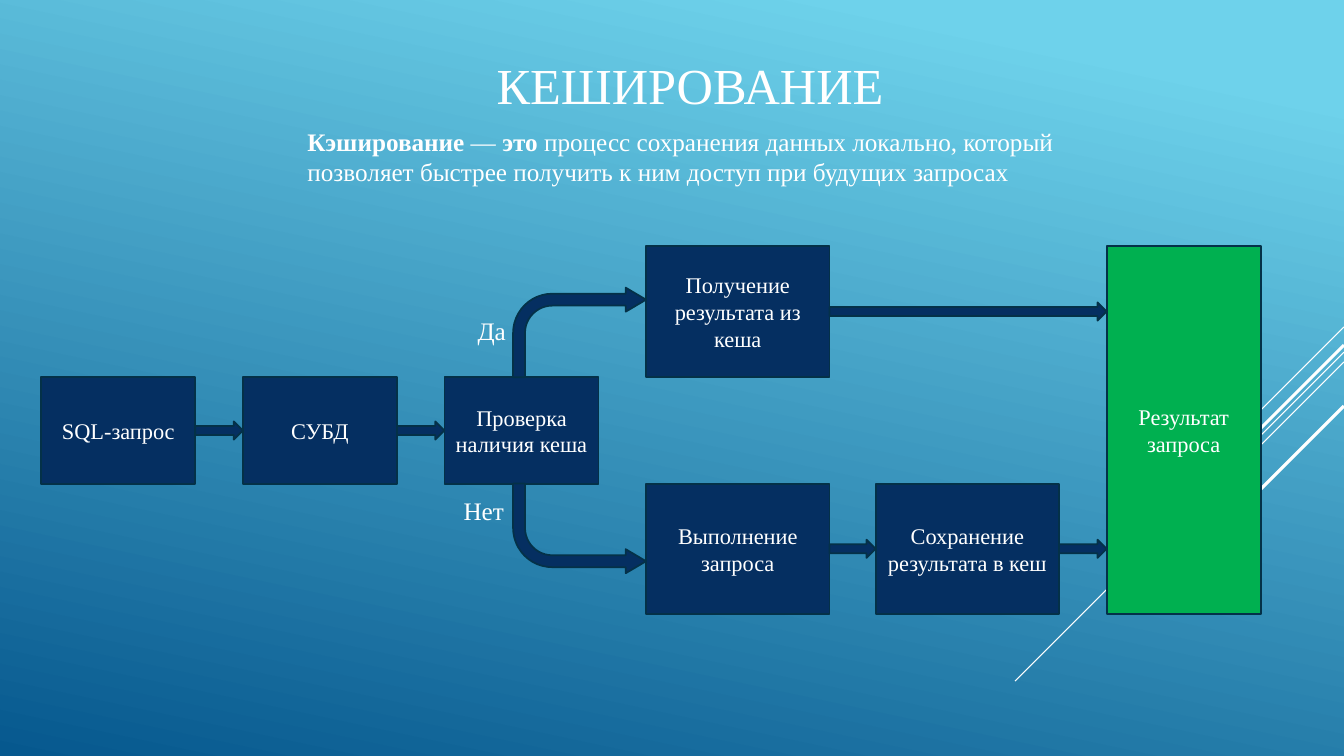
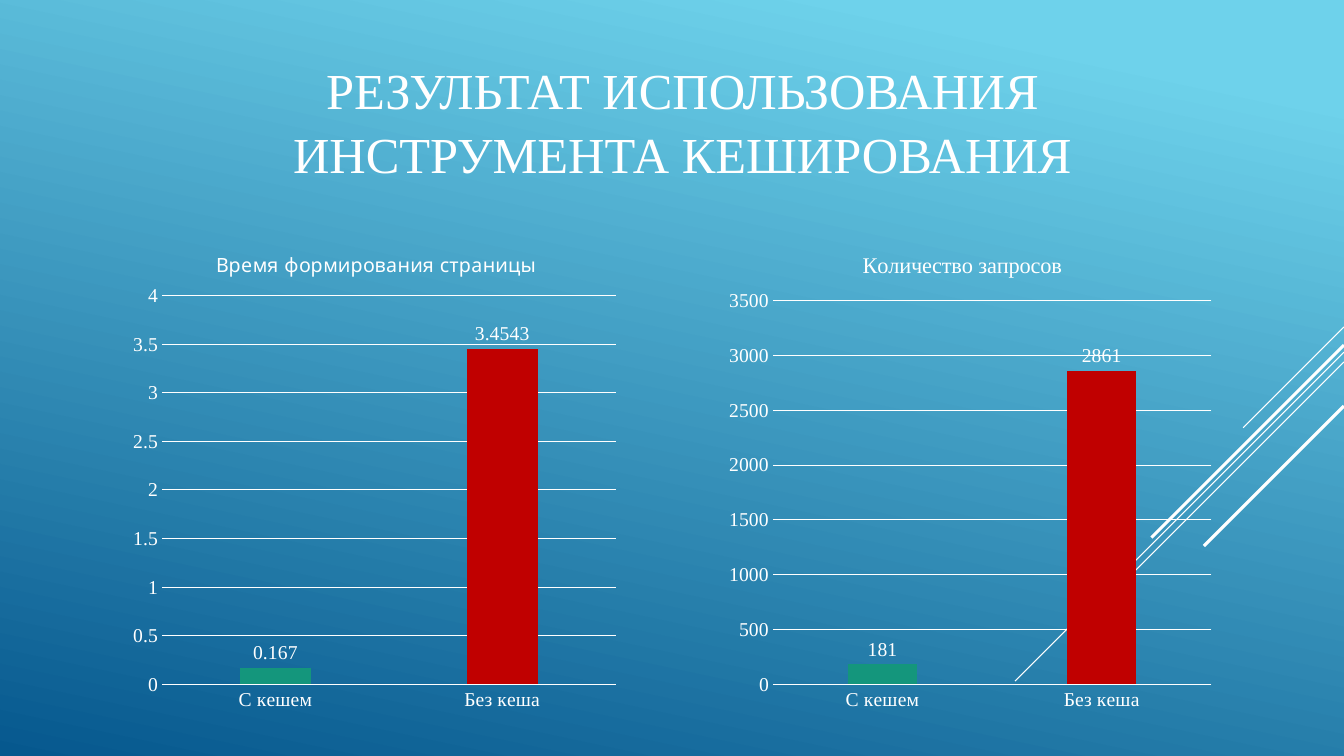
from dataclasses import dataclass

from lxml.etree import SubElement
from pptx import Presentation
from pptx.chart.data import CategoryChartData
from pptx.dml.color import RGBColor as RGB
from pptx.enum.chart import XL_CHART_TYPE as CT, XL_LABEL_POSITION as LP, XL_TICK_MARK as TM
from pptx.enum.shapes import MSO_CONNECTOR as CONN, MSO_SHAPE as SHAPE
from pptx.enum.text import MSO_ANCHOR as ANCHOR, PP_ALIGN as ALIGN
from pptx.oxml.ns import qn
from pptx.util import Pt


@dataclass(frozen=True)
class Theme:
    """Colours, fonts and type sizes of the deck."""
    light: RGB = RGB.from_string("6ED2EB")
    deep: RGB = RGB.from_string("06588E")
    white: RGB = RGB.from_string("FFFFFF")
    navy: RGB = RGB.from_string("052F61")
    edge: RGB = RGB.from_string("043148")
    result: RGB = RGB.from_string("00B050")
    good: RGB = RGB.from_string("14967C")
    bad: RGB = RGB.from_string("C00000")
    font: str = "Times New Roman"
    alt_font: str = "Quicksand"
    title: int = 36
    body: int = 18
    node: int = 16
    chart: int = 14


T = Theme()
WIDTH, HEIGHT = 960, 540
STREAKS = [(233.5, 72, 0.75), (251.5, 235, 0.75), (258.5, 149, 0.75),
           (246.5, 137.5, 2.25), (290, 100, 2.25)]


def style_font(font, size, name=T.font, bold=False):
    """Set a white font."""
    font.name, font.size, font.bold = name, Pt(size), bold
    font.color.rgb = T.white


def add_run(p, text, size, bold=False):
    """Add one styled run to a paragraph."""
    r = p.add_run()
    r.text = text
    style_font(r.font, size, bold=bold)


def set_background(master):
    """Give the master the slanted blue gradient."""
    fill = master.background.fill
    fill.gradient()
    fill.gradient_angle = 258
    for stop, color, pos in zip(fill.gradient_stops, (T.light, T.deep), (0.1, 1)):
        stop.color.rgb = color
        stop.position = pos


def add_streaks(s):
    """Draw the diagonal lines that start at the right edge."""
    for y, run, width in STREAKS:
        c = s.shapes.add_connector(CONN.STRAIGHT, Pt(WIDTH), Pt(y), Pt(WIDTH - run), Pt(y + run))
        c.line.color.rgb = T.white
        c.line.width = Pt(width)
        SubElement(c.element.spPr, qn("a:effectLst"))


def new_slide(prs, title, x, y):
    """Add a slide with a centred title and the diagonal lines."""
    s = prs.slides.add_slide(prs.slide_layouts[5])
    sp = s.shapes.title
    sp.left, sp.top, sp.width, sp.height = Pt(x), Pt(y), Pt(794), Pt(119)
    tf = sp.text_frame
    tf.vertical_anchor = ANCHOR.MIDDLE
    p = tf.paragraphs[0]
    p.alignment = ALIGN.CENTER
    p.line_spacing = 1.05
    add_run(p, title, T.title)
    add_streaks(s)
    return s


def add_text(s, x, y, w, h, runs):
    """Add a text box from (text, bold) runs."""
    tf = s.shapes.add_textbox(Pt(x), Pt(y), Pt(w), Pt(h)).text_frame
    tf.word_wrap = True
    for text, bold in runs:
        add_run(tf.paragraphs[0], text, T.body, bold)


def add_block(s, kind, x, y, w, h, fill=T.navy):
    """Add a filled and outlined shape."""
    sp = s.shapes.add_shape(kind, Pt(x), Pt(y), Pt(w), Pt(h))
    sp.shadow.inherit = False
    sp.fill.solid()
    sp.fill.fore_color.rgb = fill
    sp.line.color.rgb = T.edge
    sp.line.width = Pt(1.25)
    return sp


def add_node(s, box, text, fill=T.navy):
    """Add a labelled step of the flow."""
    tf = add_block(s, SHAPE.RECTANGLE, *box, fill).text_frame
    tf.word_wrap = True
    tf.vertical_anchor = ANCHOR.MIDDLE
    p = tf.paragraphs[0]
    p.alignment = ALIGN.CENTER
    add_run(p, text, T.node)


def add_arrow(s, a, b):
    """Fill the gap from box a to box b with an arrow at the middle of a."""
    x, y, w, h = a
    add_block(s, SHAPE.RIGHT_ARROW, x + w, y + h / 2 - 6.5, b[0] - x - w, 13)


def add_branch(s, x, y, flip):
    """Add a bent arrow, optionally turned downwards."""
    sp = add_block(s, SHAPE.BENT_ARROW, x, y, 95, 64)
    for i, value in enumerate((0.133, 0.134, 0.227, 0.438)):
        sp.adjustments[i] = value
    if flip:
        sp.element.spPr.find(qn("a:xfrm")).set("flipV", "1")


def add_flow(s, x, y):
    """Draw the caching flow with its top left corner at x, y."""
    sql, dbms, check = [(x + 144 * i, y + 94, 110, 76) for i in range(3)]
    cache = (x + 432, y, 131, 94)
    execute, save = [(x + 432 + 164 * i, y + 170, 131, 93) for i in range(2)]
    result = (x + 761, y, 110, 263)
    for box, text in ((sql, "SQL-запрос"), (dbms, "СУБД"), (check, "Проверка наличия кеша"),
                      (cache, "Получение результата из кеша"),
                      (execute, "Выполнение запроса"), (save, "Сохранение результата в кеш")):
        add_node(s, box, text)
    add_node(s, result, "Результат запроса", T.result)
    for a, b in ((sql, dbms), (dbms, check), (cache, result), (execute, save), (save, result)):
        add_arrow(s, a, b)
    add_branch(s, x + 337, y + 30, False)
    add_branch(s, x + 337, y + 170, True)
    add_text(s, x + 304.5, y + 46, 51, 29, [("Да", False)])
    add_text(s, x + 294.5, y + 174.5, 51, 29, [("Нет", False)])


def set_layout(parent, index, **sizes):
    """Fix the place of a chart part by fractions of the chart."""
    for old in parent.findall(qn("c:layout")):
        parent.remove(old)
    layout = parent.makeelement(qn("c:layout"), {})
    parent.insert(index, layout)
    manual = SubElement(layout, qn("c:manualLayout"))
    if "w" in sizes:
        SubElement(manual, qn("c:layoutTarget"), val="inner")
    for key in ("x", "y"):
        SubElement(manual, qn(f"c:{key}Mode"), val="edge")
    for key, value in sizes.items():
        SubElement(manual, qn(f"c:{key}"), val=str(value))


def add_columns(s, x, y, title, values, top, step, plot, title_at, title_font):
    """Add a chart that compares work with and without the cache."""
    data = CategoryChartData()
    data.categories = ["С кешем", "Без кеша"]
    data.add_series("Series 1", values)
    chart = s.shapes.add_chart(CT.COLUMN_CLUSTERED, Pt(x), Pt(y), Pt(360), Pt(351.5), data).chart
    style_font(chart.font, T.chart)
    chart.has_legend = False
    chart.has_title = True
    r = chart.chart_title.text_frame.paragraphs[0].add_run()
    r.text = title
    style_font(r.font, T.chart if title_font == T.alt_font else T.node, title_font)
    set_layout(chart.chart_title._element, 1, x=title_at[0], y=title_at[1])
    set_layout(chart._chartSpace.chart.plotArea, 0, **dict(zip("xywh", plot)))

    for axis in (chart.category_axis, chart.value_axis):
        axis.major_tick_mark = axis.minor_tick_mark = TM.NONE
        style_font(axis.tick_labels.font, T.chart)
    grid = chart.value_axis.major_gridlines.format.line
    for line in (chart.category_axis.format.line, grid):
        line.color.rgb = T.white
        line.width = Pt(0.75)
    axis = chart.value_axis
    axis.format.line.fill.background()
    axis.minimum_scale, axis.maximum_scale, axis.major_unit = 0, top, step

    bars = chart.plots[0]
    bars.gap_width, bars.overlap, bars.vary_by_categories = 219, -27, False
    bars.has_data_labels = True
    labels = bars.data_labels
    labels.show_value = True
    labels.position = LP.OUTSIDE_END
    style_font(labels.font, T.chart)
    for i, color in enumerate((T.good, T.bad)):
        fill = bars.series[0].points[i].format.fill
        fill.solid()
        fill.fore_color.rgb = color


def build_caching(prs):
    """Build the slide that explains caching."""
    s = new_slide(prs, "КЕШИРОВАНИЕ", 96, 0)
    add_text(s, 212.5, 86.5, 586, 51, [
        ("Кэширование", True), (" — ", False), ("это", True),
        (" процесс сохранения данных локально, который позволяет быстрее получить "
         "к ним доступ при будущих запросах", False)])
    add_flow(s, 29.5, 175.5)


def build_results(prs):
    """Build the slide with the two result charts."""
    s = new_slide(prs, "РЕЗУЛЬТАТ ИСПОЛЬЗОВАНИЯ ИНСТРУМЕНТА КЕШИРОВАНИЯ", 90.5, 26)
    add_columns(s, 87, 162, "Время формирования страницы", (0.167, 3.4543), 4, 0.5,
                (0.08, 0.14, 0.9, 0.79), (0.18, 0.04), T.alt_font)
    add_columns(s, 512.5, 162, "Количество запросов", (181, 2861), 3500, 500,
                (0.11, 0.15, 0.87, 0.78), (0.28, 0.04), T.font)


def main():
    """Build and save the deck."""
    prs = Presentation()
    prs.slide_width, prs.slide_height = Pt(WIDTH), Pt(HEIGHT)
    set_background(prs.slide_master)
    build_caching(prs)
    build_results(prs)
    prs.save("out.pptx")


if __name__ == "__main__":
    main()
